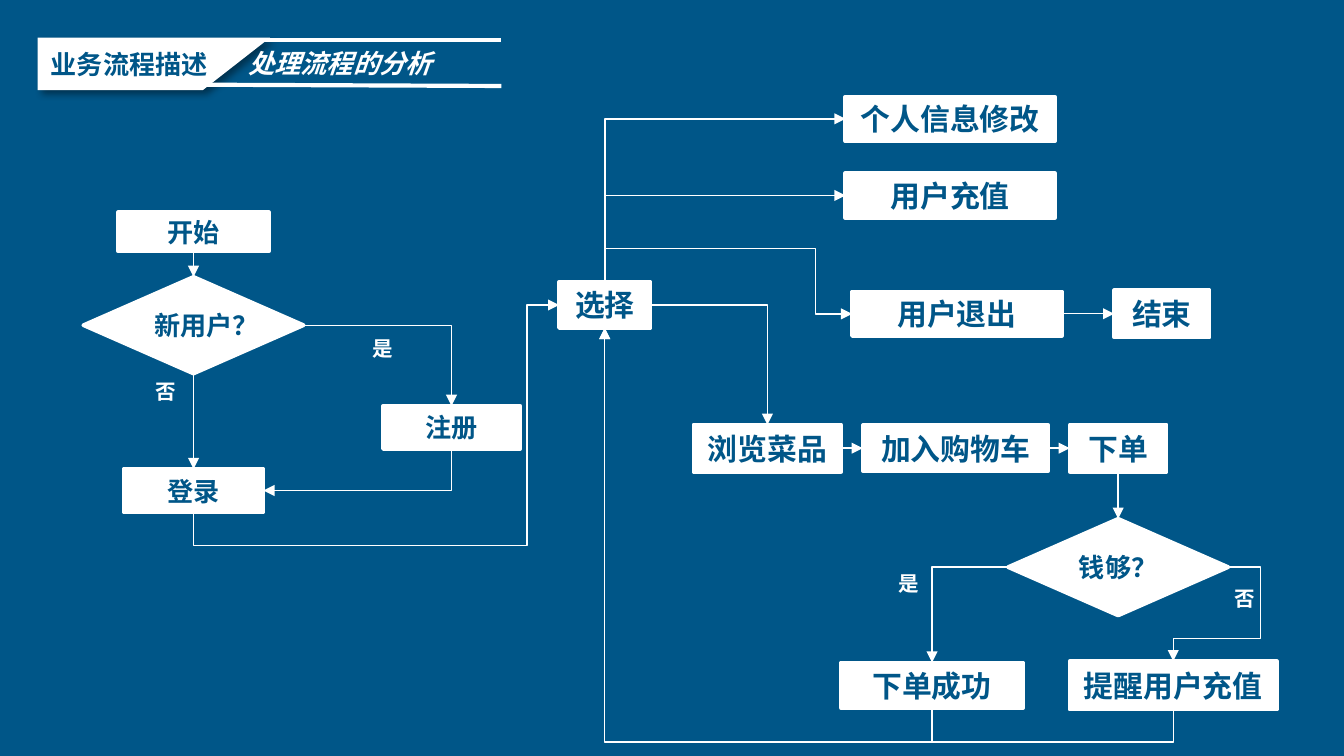
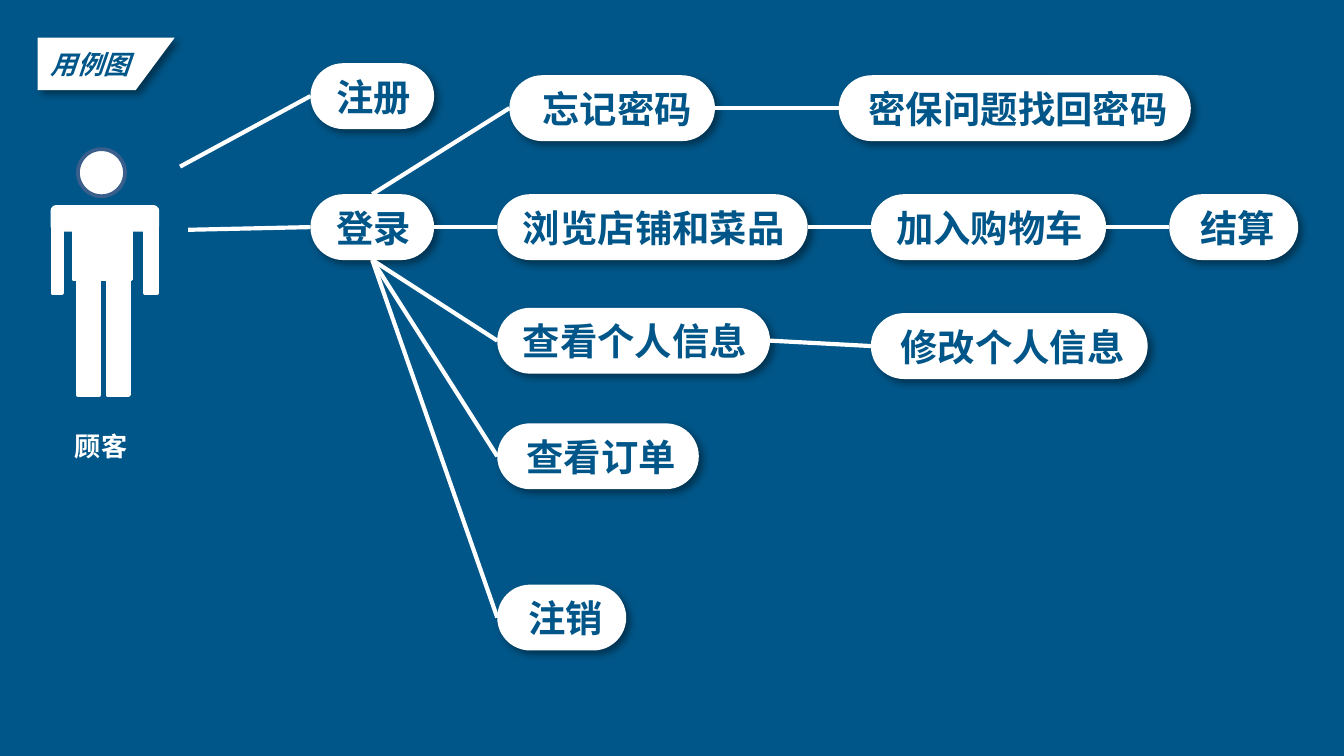
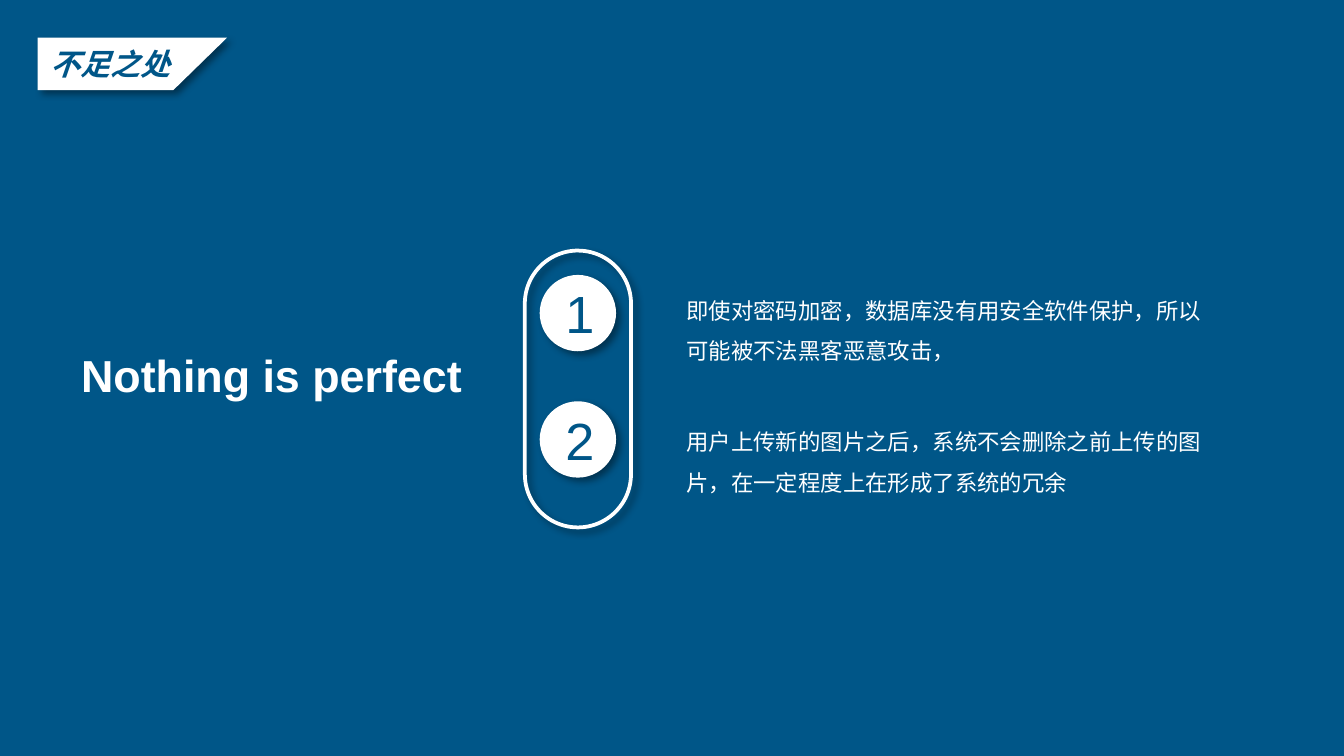
import lxml.etree
import pptx
import pptx.dml.color
import pptx.enum.shapes
import pptx.enum.text
import pptx.oxml.ns
import pptx.util

# The grid has 100 columns across the slide; rows are as high as columns are wide.
COLUMNS, ROWS = 100, 56.25
CELL = pptx.util.Inches(0.1)
COLORS = {"blue": "005688", "white": "FFFFFF", "outline": "3A5F8C", "black": "000000"}
CHINESE, LATIN = "Noto Sans CJK SC", "Arial"
TOP, LEFT, BOTTOM, RIGHT = range(4)

SHAPES = pptx.enum.shapes.MSO_SHAPE
LINES = pptx.enum.shapes.MSO_CONNECTOR
ALIGN = pptx.enum.text.PP_ALIGN
ANCHOR = pptx.enum.text.MSO_ANCHOR


def cells(*counts):
    return [round(count * CELL) for count in counts]


def color(name):
    return pptx.dml.color.RGBColor.from_string(COLORS[name])


def add_xml(parent, tag, **attributes):
    child = lxml.etree.SubElement(parent, pptx.oxml.ns.qn(tag))
    for key, value in attributes.items():
        child.set(key, str(value))
    return child


def write_text(frame, text, size=14, ink="blue", font=CHINESE, bold=True, italic=False,
               align=ALIGN.LEFT, anchor=ANCHOR.MIDDLE, spacing=None):
    frame.word_wrap = True
    frame.vertical_anchor = anchor
    para = frame.paragraphs[0]
    para.alignment = align
    if spacing:
        para.line_spacing = spacing
    span = para.add_run()
    span.text = text
    span.font.size = pptx.util.Pt(size)
    span.font.name = font
    span.font.bold = bold
    span.font.italic = italic
    span.font.color.rgb = color(ink)
    add_xml(span.font._element, "a:ea", typeface=font)


class Painter:
    """Holds the deck's style and the page being drawn."""

    def __init__(self):
        self.deck = pptx.Presentation()
        self.deck.slide_width, self.deck.slide_height = cells(COLUMNS, ROWS)
        self.page = None

    def new_page(self):
        self.page = self.deck.slides.add_slide(self.deck.slide_layouts[6])
        fill = self.page.background.fill
        fill.solid()
        fill.fore_color.rgb = color("blue")

    def style(self, shape, fill="white", line="white", shadow=False):
        if fill:
            shape.fill.solid()
            shape.fill.fore_color.rgb = color(fill)
        else:
            shape.fill.background()
        if line:
            shape.line.color.rgb = color(line)
            shape.line.width = pptx.util.Pt(2)
        else:
            shape.line.fill.background()
        shape.shadow.inherit = False
        if shadow:
            effects = shape.element.spPr.find(pptx.oxml.ns.qn("a:effectLst"))
            cast = add_xml(effects, "a:outerShdw", blurRad=pptx.util.Pt(4),
                           dist=pptx.util.Pt(3), dir=45 * 60000, algn="tl", rotWithShape=0)
            add_xml(add_xml(cast, "a:srgbClr", val=COLORS["black"]), "a:alpha", val=40000)

    def shape(self, kind, left, top, width, height, **look):
        shape = self.page.shapes.add_shape(kind, *cells(left, top, width, height))
        self.style(shape, **look)
        return shape

    def node(self, kind, text, left, top, width, height, size=16):
        box = self.shape(kind, left, top, width, height)
        write_text(box.text_frame, text, size=size, align=ALIGN.CENTER)
        return box

    def pill(self, text, left, top, width):
        box = self.shape(SHAPES.ROUNDED_RECTANGLE, left, top, width, 4.9, line=None, shadow=True)
        box.adjustments[0] = 0.5
        write_text(box.text_frame, text, size=20, align=ALIGN.RIGHT)
        return box

    def disc(self, text, left, top):
        circle = self.shape(SHAPES.OVAL, left, top, 5.4, 5.4, shadow=True)
        write_text(circle.text_frame, text, size=28, font=LATIN, bold=False, align=ALIGN.CENTER)

    def banner(self, text, top_right, bottom_right, **form):
        """Draw the page title on a band with a slanted right end."""
        left, top, bottom = 2.8, 2.8, 6.7
        builder = self.page.shapes.build_freeform(*cells(left, top))
        corners = [(top_right, top), (bottom_right, bottom), (left, bottom)]
        builder.add_line_segments([cells(*corner) for corner in corners], close=True)
        band = builder.convert_to_shape()
        self.style(band, line=None, shadow=True)
        write_text(band.text_frame, text, **form)

    def label(self, text, left, top, width, height, **form):
        box = self.page.shapes.add_textbox(*cells(left, top, width, height))
        write_text(box.text_frame, text, **{"ink": "white", "anchor": ANCHOR.TOP, **form})
        box.text_frame.auto_size = pptx.enum.text.MSO_AUTO_SIZE.SHAPE_TO_FIT_TEXT

    def line(self, start, end, kind=LINES.STRAIGHT, weight=2.25, arrow=False):
        """Join two ends, each a (column, row) point or a (box, side) pair."""
        joined = [not isinstance(tip[0], (int, float)) for tip in (start, end)]
        tips = [(0, 0) if on_box else cells(*tip) for tip, on_box in zip((start, end), joined)]
        link = self.page.shapes.add_connector(kind, *tips[0], *tips[1])
        if joined[0]:
            link.begin_connect(*start)
        if joined[1]:
            link.end_connect(*end)
        link.line.color.rgb = color("white")
        link.line.width = pptx.util.Pt(weight)
        if arrow:
            add_xml(link.line._get_or_add_ln(), "a:tailEnd", type="triangle")
        add_xml(link.element.spPr, "a:effectLst")
        return link

    def arrow(self, start, end):
        self.line(start, end, weight=0.75, arrow=True)

    def elbow(self, start, end, *lanes):
        """Draw a bent arrow; lanes are the rows and columns it turns onto, in turn."""
        link = self.line(start, end, LINES.ELBOW, weight=0.75, arrow=True)
        origin = (link.begin_x, link.begin_y)
        reach = (link.end_x - link.begin_x, link.end_y - link.begin_y)
        middle = [place + step / 2 for place, step in zip(origin, reach)]
        upright = start[1] in (TOP, BOTTOM)
        along, across = (1, 0) if upright else (0, 1)
        width, height = abs(reach[along]), abs(reach[across])
        link.left, link.top = round(middle[0] - width / 2), round(middle[1] - height / 2)
        link.width, link.height = width, height

        frame = link.element.spPr.xfrm
        frame.set("rot", str(90 * 60000 if upright else 0))
        frame.set("flipH", str(int(reach[along] < 0)))
        frame.set("flipV", str(int((reach[across] > 0) if upright else (reach[across] < 0))))
        outline = link.element.spPr.find(pptx.oxml.ns.qn("a:prstGeom"))
        outline.set("prst", f"bentConnector{len(lanes) + 2}")
        for old in list(outline):
            outline.remove(old)
        guides = add_xml(outline, "a:avLst")
        for number, (lane, axis) in enumerate(zip(lanes, (along, across)), 1):
            share = (lane * CELL - origin[axis]) / reach[axis]
            add_xml(guides, "a:gd", name=f"adj{number}", fmla=f"val {round(share * 100000)}")


def draw_process(painter):
    painter.new_page()
    painter.banner("业务流程描述", 20.1, 15.1)
    painter.label("处理流程的分析", 17.5, 3, 20.2, 3.4, italic=True)
    painter.line((17.7, 3), (37.3, 3))
    painter.line((14.5, 6.3), (37.3, 6.4))

    step, choice = SHAPES.FLOWCHART_PROCESS, SHAPES.FLOWCHART_DECISION
    nodes = {
        text: painter.node(kind, text, *place)
        for kind, text, *place in [
            (choice, "新用户？", 6.2, 20.6, 16.4, 7.2, 14),
            (step, "开始", 8.8, 15.8, 11.2, 2.9, 14),
            (step, "登录", 9.2, 34.9, 10.4, 3.2, 14),
            (step, "注册", 28.5, 30.2, 10.2, 3.2, 14),
            (step, "选择", 41.6, 21, 6.8, 3.4),
            (step, "个人信息修改", 62.9, 7.2, 15.6, 3.3),
            (step, "用户充值", 62.9, 12.9, 15.6, 3.3),
            (step, "用户退出", 63.4, 21.7, 15.6, 3.3),
            (step, "结束", 82.9, 21.6, 7.1, 3.5),
            (step, "浏览菜品", 51.6, 31.6, 11, 3.5),
            (step, "加入购物车", 64.2, 31.65, 13.8, 3.4),
            (step, "下单", 79.6, 31.6, 7.2, 3.5),
            (choice, "钱够？", 75, 38.6, 16.4, 7.2, 14),
            (step, "下单成功", 62.6, 49.3, 13.5, 3.4),
            (step, "提醒用户充值", 79.6, 49.2, 15.4, 3.6),
        ]
    }
    for first, side, second, entry in [
        ("开始", BOTTOM, "新用户？", TOP),
        ("新用户？", BOTTOM, "登录", TOP),
        ("浏览菜品", RIGHT, "加入购物车", LEFT),
        ("加入购物车", RIGHT, "下单", LEFT),
        ("下单", BOTTOM, "钱够？", TOP),
        ("用户退出", RIGHT, "结束", LEFT),
    ]:
        painter.arrow((nodes[first], side), (nodes[second], entry))
    for first, side, second, entry, *lanes in [
        ("新用户？", RIGHT, "注册", TOP),
        ("注册", BOTTOM, "登录", RIGHT),
        ("登录", BOTTOM, "选择", LEFT, 40.6, 39.2),
        ("选择", TOP, "个人信息修改", LEFT),
        ("选择", TOP, "用户充值", LEFT),
        ("选择", TOP, "用户退出", LEFT, 18.5, 60.7),
        ("选择", RIGHT, "浏览菜品", TOP),
        ("钱够？", LEFT, "下单成功", TOP),
        ("钱够？", RIGHT, "提醒用户充值", TOP, 93.8, 47.5),
        ("下单成功", BOTTOM, "选择", BOTTOM, 55.2),
        ("提醒用户充值", BOTTOM, "选择", BOTTOM, 55.2),
    ]:
        painter.elbow((nodes[first], side), (nodes[second], entry), *lanes)
    for answer, left, top in [("否", 10.2, 27.7), ("是", 65.5, 42),
                              ("是", 26.4, 24.5), ("否", 90.5, 43.1)]:
        painter.label(answer, left, top, 4.2, 2.9, size=11, align=ALIGN.CENTER)


def draw_customer(painter):
    painter.shape(SHAPES.OVAL, 5.8, 11.1, 3.5, 3.5, line="outline")
    torso, arms, legs = (5.5, 15.4, 4.3, 5.4), [(3.9, 0.7), (10.8, 0.9)], (5.8, 8)
    painter.shape(SHAPES.RECTANGLE, *torso)
    for left, width in arms:
        painter.shape(SHAPES.RECTANGLE, left, 15.6, width, 6.2)
    for left in legs:
        painter.shape(SHAPES.RECTANGLE, left, 20.8, 1.6, 8.6)
    painter.shape(SHAPES.ROUNDED_RECTANGLE, 3.9, 15.4, 7.8, 1.7)
    painter.label("顾客", 4.6, 30.4, 6.3, 4.1, spacing=1.5)


def draw_use_cases(painter):
    painter.new_page()
    painter.banner("用例图", 13, 10.1, italic=True)
    draw_customer(painter)
    pills = {
        text: painter.pill(text, *place)
        for text, *place in [
            ("注册", 23.1, 4.7, 9.2),
            ("登录", 23.1, 14.45, 9.2),
            ("忘记密码", 37.9, 5.6, 15.3),
            ("密保问题找回密码", 62.4, 5.6, 26.2),
            ("浏览店铺和菜品", 37, 14.45, 23.1),
            ("加入购物车", 64.8, 14.45, 17.5),
            ("结算", 87, 14.45, 9.6),
            ("查看个人信息", 37, 22.9, 20.3),
            ("修改个人信息", 64.8, 23.3, 20.6),
            ("查看订单", 37, 31.5, 15),
            ("注销", 37, 43.5, 9.6),
        ]
    }
    painter.line((13.4, 12.4), (pills["注册"], LEFT))
    painter.line((14, 17.1), (pills["登录"], LEFT))
    for first, side, second in [
        ("登录", TOP, "忘记密码"),
        ("登录", RIGHT, "浏览店铺和菜品"),
        ("忘记密码", RIGHT, "密保问题找回密码"),
        ("浏览店铺和菜品", RIGHT, "加入购物车"),
        ("加入购物车", RIGHT, "结算"),
        ("登录", BOTTOM, "查看个人信息"),
        ("查看个人信息", RIGHT, "修改个人信息"),
        ("登录", BOTTOM, "查看订单"),
        ("登录", BOTTOM, "注销"),
    ]:
        painter.line((pills[first], side), (pills[second], LEFT))


def draw_shortcomings(painter):
    painter.new_page()
    painter.label("Nothing is perfect", 2, 25.4, 36.4, 5, size=24, font=LATIN, align=ALIGN.CENTER)
    track = painter.shape(SHAPES.ROUNDED_RECTANGLE, 32.7, 25, 20.6, 7.9, fill=None, shadow=True)
    track.adjustments[0] = 0.5
    track.rotation = 90
    for number, disc_top, text_top, text in [
        ("1", 20.6, 20.6, "即使对密码加密，数据库没有用安全软件保护，所以可能被不法黑客恶意攻击，"),
        ("2", 30, 30.4, "用户上传新的图片之后，系统不会删除之前上传的图片，在一定程度上在形成了系统的冗余"),
    ]:
        painter.disc(number, 40.3, disc_top)
        painter.label(text, 50.1, text_top, 41.4, 6.7, size=12, bold=False, spacing=1.5)
    painter.banner("不足之处", 16.9, 12.9, size=16, italic=True)


def main():
    painter = Painter()
    draw_process(painter)
    draw_use_cases(painter)
    draw_shortcomings(painter)
    painter.deck.save("out.pptx")


if __name__ == "__main__":
    main()
